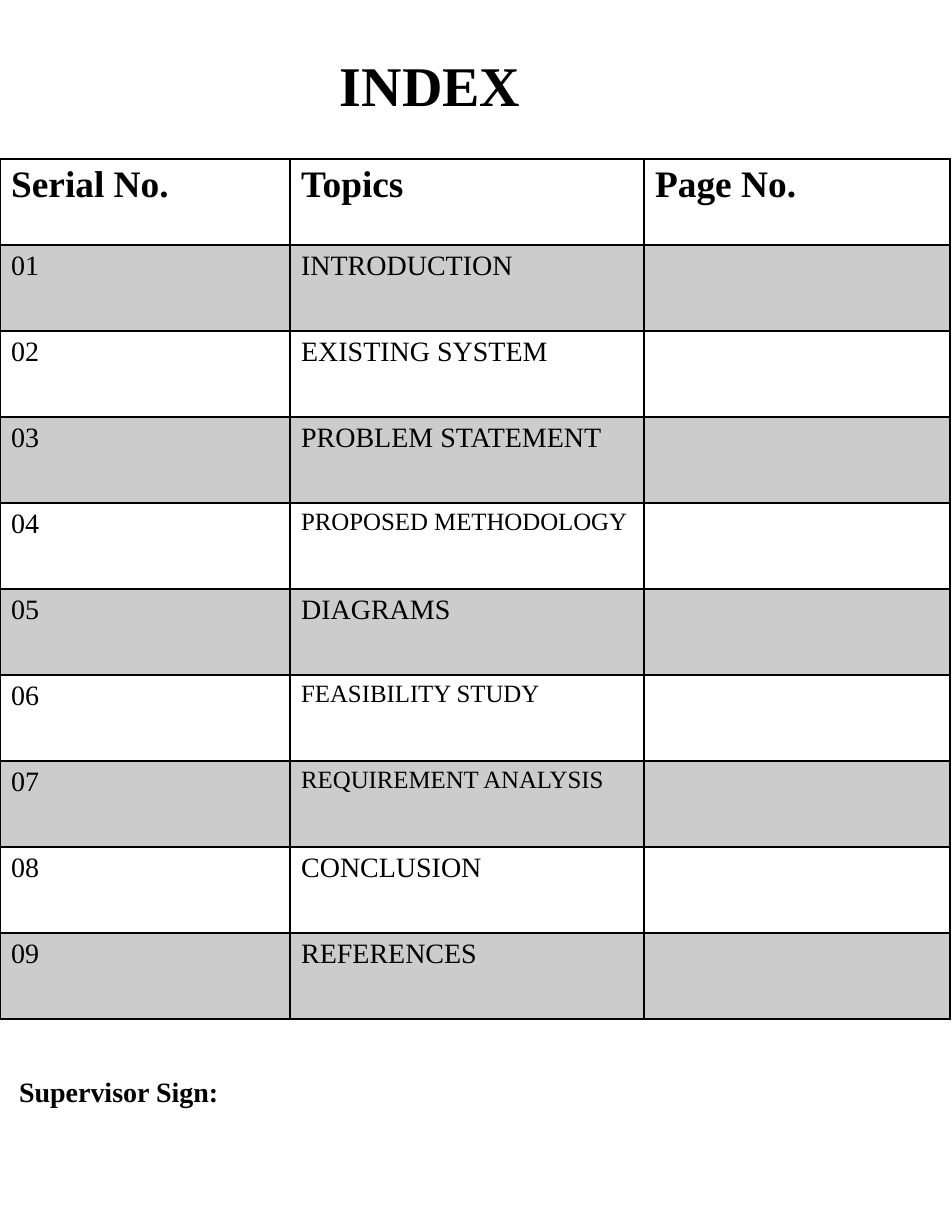
from lxml import etree
from pptx import Presentation
from pptx import util as u
from pptx.dml.color import RGBColor
from pptx.oxml.ns import qn

PX = 914400 // 112
BLACK = "000000"
FONT = "Times New Roman"


def paint(fill, color):
    fill.solid()
    fill.fore_color.rgb = RGBColor.from_string(color)


def write(frame, words, size, bold):
    run = frame.paragraphs[0].add_run()
    run.text = words
    run.font.name = FONT
    run.font.size = u.Pt(size)
    run.font.bold = bold
    paint(run.font.fill, BLACK)


deck = Presentation()
deck.slide_width, deck.slide_height = u.Inches(8.5), u.Inches(11)
slide = deck.slides.add_slide(deck.slide_layouts[6])

topics = [
    ("INTRODUCTION", 18),
    ("EXISTING SYSTEM", 18),
    ("PROBLEM STATEMENT", 18),
    ("PROPOSED METHODOLOGY", 16),
    ("DIAGRAMS", 18),
    ("FEASIBILITY STUDY", 16),
    ("REQUIREMENT ANALYSIS", 16),
    ("CONCLUSION", 18),
    ("REFERENCES", 18),
]
rows = [[("Serial No.", 24), ("Topics", 24), ("Page No.", 24)]]
for number, topic in enumerate(topics, 1):
    rows.append([(f"{number:02d}", 18), topic, ("", 18)])

column_widths = [290, 354, 306]
row_height = 86
index = slide.shapes.add_table(
    len(rows), len(column_widths), 0, 159 * PX,
    sum(column_widths) * PX, len(rows) * row_height * PX).table
index.first_row = False
index.horz_banding = False
for column, width in zip(index.columns, column_widths):
    column.width = width * PX

for r, entries in enumerate(rows):
    index.rows[r].height = row_height * PX
    for c, (words, size) in enumerate(entries):
        cell = index.cell(r, c)
        if words:
            write(cell.text_frame, words, size, r == 0)
        cell_format = cell._tc.get_or_add_tcPr()
        for side in "LRTB":
            thick = (r, side) in [(0, "B"), (1, "T")]
            border = etree.SubElement(cell_format, qn(f"a:ln{side}"), w=str(u.Pt(2 if thick else 1)))
            solid = etree.SubElement(border, qn("a:solidFill"))
            etree.SubElement(solid, qn("a:srgbClr"), val=BLACK)
        if r % 2:
            paint(cell.fill, BLACK)
            shade = cell_format.find(qn("a:solidFill")).find(qn("a:srgbClr"))
            etree.SubElement(shade, qn("a:alpha"), val="20000")
        else:
            cell.fill.background()

for words, size, left, top, width, height, indent, drop in [
    ("INDEX", 36, 130, 44, 606, 48, 210, 6),
    ("Supervisor Sign:", 18, 19, 1073, 411, 34, 0, 2),
]:
    frame = slide.shapes.add_textbox(left * PX, top * PX, width * PX, height * PX).text_frame
    frame.word_wrap = True
    frame.margin_left, frame.margin_top = indent * PX, drop * PX
    frame.margin_right = frame.margin_bottom = 0
    write(frame, words, size, True)

deck.save("out.pptx")
